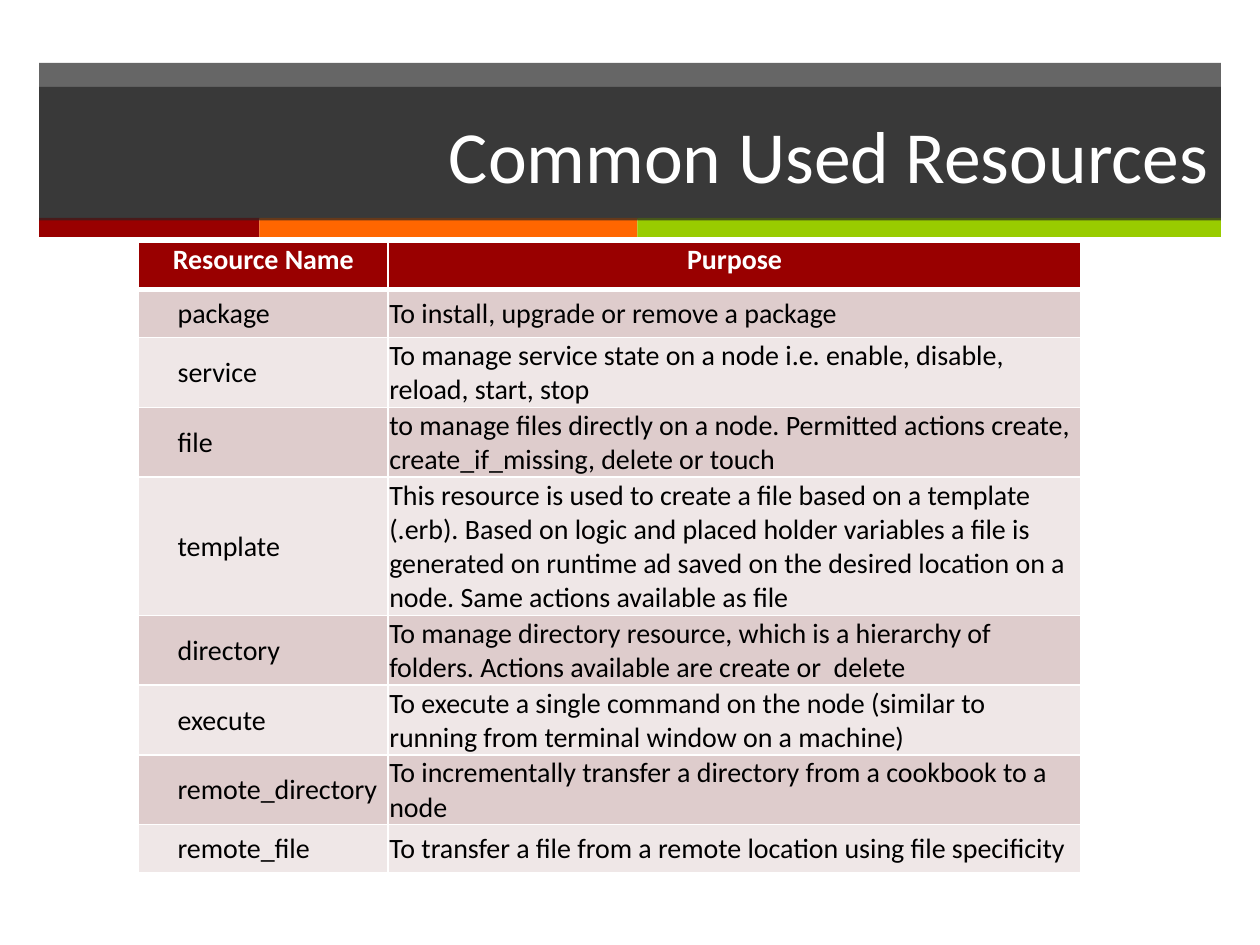
from dataclasses import dataclass

from lxml import etree
from pptx import Presentation
from pptx import util as u
from pptx.dml.color import RGBColor
from pptx.enum import shapes, text
from pptx.oxml.ns import qn


@dataclass(frozen=True)
class Theme:
    font: str = "Calibri"
    title_size: int = 42
    table_size: int = 16
    white: str = "FFFFFF"
    black: str = "000000"
    charcoal: str = "262626"
    red: str = "990000"
    orange: str = "FF6600"
    green: str = "99CC00"
    bands: tuple = ("DECCCC", "EFE7E7")


WIDTH, HEIGHT = 10, 7.5
MARGIN, BAND_WIDTH = 0.31, 9.38
STRIP_TOP, STRIP_HEIGHT = 1.73, 0.15
TABLE_LEFT, TABLE_TOP, TABLE_HEIGHT = 1.1, 1.92, 4.94
COLUMNS = (1.98, 5.5)
# Row height by number of text lines
ROW_HEIGHTS = {1: 0.38, 2: 0.52, 4: 1.03}

HEADINGS = ("Resource Name", "Purpose")
RESOURCES = [
    ("package", "To install, upgrade or remove a package", 1),
    ("service", "To manage service state on a node i.e. enable, disable, "
                "reload, start, stop", 2),
    ("file", "to manage files directly on a node. Permitted actions create, "
             "create_if_missing, delete or touch", 2),
    ("template", "This resource is used to create a file based on a template "
                 "(.erb). Based on logic and placed holder variables a file is "
                 "generated on runtime ad saved on the desired location on a "
                 "node. Same actions available as file", 4),
    ("directory", "To manage directory resource, which is a hierarchy of "
                  "folders. Actions available are create or  delete", 2),
    ("execute", "To execute a single command on the node (similar to "
                "running from terminal window on a machine)", 2),
    ("remote_directory", "To incrementally transfer a directory from a "
                         "cookbook to a node", 2),
    ("remote_file", "To transfer a file from a remote location using "
                    "file specificity", 1),
]


def write(frame, words, *, font, size, color, bold=False,
          align=text.PP_ALIGN.LEFT, indent=0):
    paragraph = frame.paragraphs[0]
    paragraph.alignment = align
    if indent:
        properties = paragraph._p.get_or_add_pPr()
        properties.set("marL", str(u.Inches(indent)))
        properties.set("indent", "0")
    run = paragraph.add_run()
    run.text = words
    run.font.name, run.font.size, run.font.bold = font, u.Pt(size), bold
    run.font.color.rgb = RGBColor.from_string(color)


class SlideBuilder:
    def __init__(self, deck, theme):
        self.deck, self.theme = deck, theme
        self.slide = deck.slides.add_slide(deck.slide_layouts[5])

    def place(self, left, top, width, height):
        """Turn inches on the 10 x 7.5 grid into shares of the slide."""
        across, down = self.deck.slide_width, self.deck.slide_height
        return (int(left / WIDTH * across), int(top / HEIGHT * down),
                int(width / WIDTH * across), int(height / HEIGHT * down))

    def paint(self, shape, color, opacity=100):
        shape.fill.solid()
        shape.fill.fore_color.rgb = RGBColor.from_string(color)
        if opacity < 100:
            tint = shape._element.spPr.find(".//" + qn("a:srgbClr"))
            etree.SubElement(tint, qn("a:alpha"), val=str(opacity * 1000))

    def bar(self, box, color, opacity=100):
        bar = self.slide.shapes.add_shape(
            shapes.MSO_SHAPE.RECTANGLE, *self.place(*box))
        bar.shadow.inherit = False
        bar.line.fill.background()
        self.paint(bar, color, opacity)

    def title(self, words, box):
        title = self.slide.shapes.title
        title.left, title.top, title.width, title.height = self.place(*box)
        self.paint(title, self.theme.charcoal, 70)
        frame = title.text_frame
        frame.auto_size = text.MSO_AUTO_SIZE.NONE
        frame.vertical_anchor = text.MSO_ANCHOR.MIDDLE
        write(frame, words, font=self.theme.font, size=self.theme.title_size,
              color=self.theme.white, align=text.PP_ALIGN.RIGHT)
        # Bring the title in front of the bars
        self.slide.shapes._spTree.append(title._element)

    def cell(self, cell, words, fill, *, bottom=1,
             anchor=text.MSO_ANCHOR.MIDDLE, **style):
        cell.margin_left = cell.margin_right = cell.margin_top = u.Inches(0.01)
        cell.margin_bottom = 0
        cell.vertical_anchor = anchor
        for side, width in (("L", 1), ("R", 1), ("T", 1), ("B", bottom)):
            line = etree.SubElement(cell._tc.get_or_add_tcPr(),
                                    qn("a:ln" + side), w=str(u.Pt(width)))
            solid = etree.SubElement(line, qn("a:solidFill"))
            etree.SubElement(solid, qn("a:srgbClr"), val=self.theme.white)
        cell.fill.solid()
        cell.fill.fore_color.rgb = RGBColor.from_string(fill)
        write(cell.text_frame, words, font=self.theme.font,
              size=self.theme.table_size, **style)

    def table(self, headings, records, box):
        theme = self.theme
        holder = self.slide.shapes.add_table(
            len(records) + 1, len(headings), *self.place(*box))
        grid = holder.table
        grid.horz_banding = False
        for column, width in zip(grid.columns, COLUMNS):
            column.width = u.Inches(width)
        line_counts = [1] + [lines for *_, lines in records]
        for row, lines in zip(grid.rows, line_counts):
            row.height = u.Inches(ROW_HEIGHTS[lines])
        holder.height = self.place(*box)[3]

        # Header row
        for column, heading in enumerate(headings):
            self.cell(grid.cell(0, column), heading, theme.red, bottom=3,
                      anchor=text.MSO_ANCHOR.TOP, color=theme.white,
                      bold=True, align=text.PP_ALIGN.CENTER)
        # Resource rows
        for row, (name, purpose, _) in enumerate(records, 1):
            fill = theme.bands[(row - 1) % 2]
            self.cell(grid.cell(row, 0), name, fill,
                      color=theme.black, indent=0.3)
            self.cell(grid.cell(row, 1), purpose, fill, color=theme.black)


def main():
    deck = Presentation()
    deck.slide_width, deck.slide_height = u.Inches(WIDTH), u.Inches(HEIGHT)
    theme = Theme()
    page = SlideBuilder(deck, theme)

    # Header band and coloured strip
    page.bar((MARGIN, 0.5, BAND_WIDTH, 1.24), theme.charcoal, 70)
    left = MARGIN
    for color, width in ((theme.red, 1.75), (theme.orange, 3),
                         (theme.green, 4.63)):
        page.bar((left, STRIP_TOP, width, STRIP_HEIGHT), color)
        left += width

    page.title("Common Used Resources", (MARGIN, 0.69, BAND_WIDTH, 1.06))
    page.table(HEADINGS, RESOURCES,
               (TABLE_LEFT, TABLE_TOP, sum(COLUMNS), TABLE_HEIGHT))
    deck.save("out.pptx")


if __name__ == "__main__":
    main()
